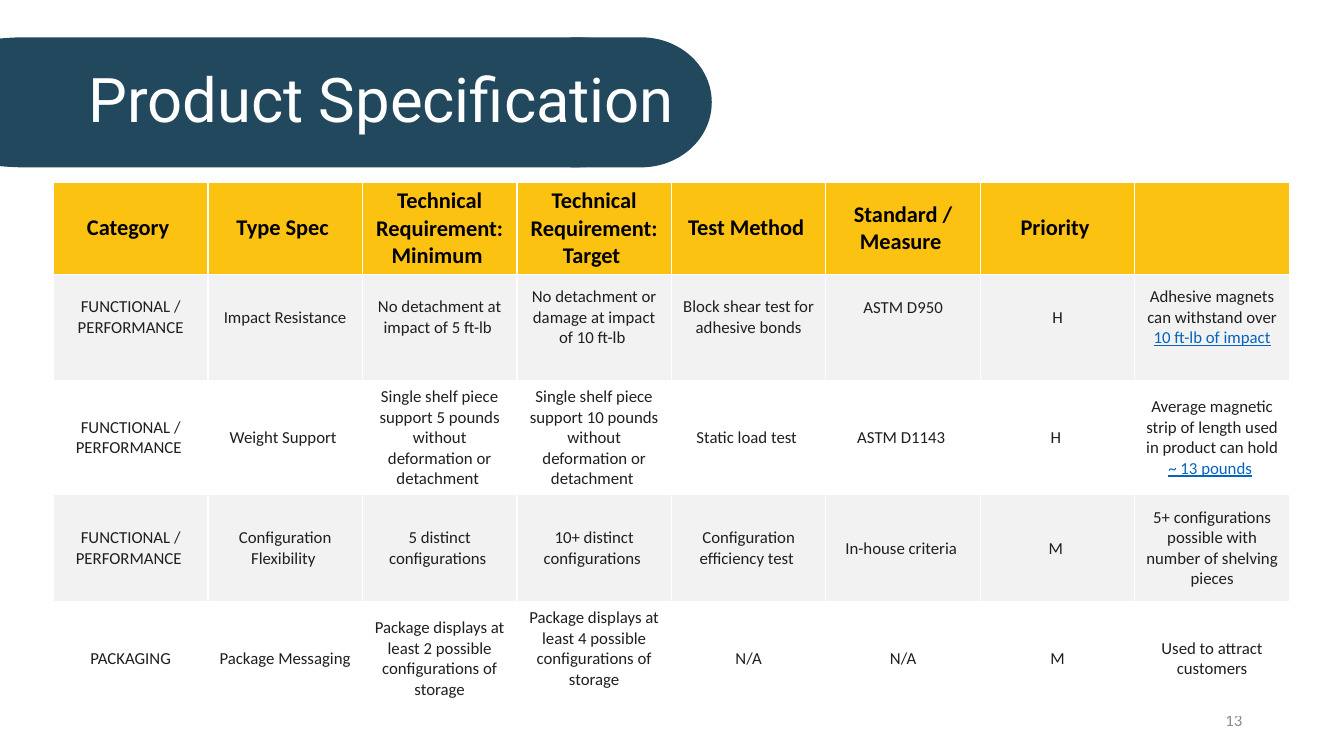
import pptx
import pptx.util
import pptx.dml.color
import pptx.enum.shapes
import pptx.enum.text

Inches = pptx.util.Inches
Pt = pptx.util.Pt
SHAPES = pptx.enum.shapes.MSO_SHAPE
ALIGN = pptx.enum.text.PP_ALIGN
MIDDLE = pptx.enum.text.MSO_ANCHOR.MIDDLE


def color(value):
    return pptx.dml.color.RGBColor.from_string(value)


def style(span, size, value, name="Calibri"):
    span.font.size = Pt(size)
    span.font.name = name
    span.font.color.rgb = color(value)


deck = pptx.Presentation()
deck.slide_width = Inches(13.33)
deck.slide_height = Inches(7.5)
page = deck.slides.add_slide(deck.slide_layouts[6])

# Title banner
for kind, left, width in [
    (SHAPES.FLOWCHART_TERMINATOR, -1.04, 8.01),
    (SHAPES.FLOWCHART_DELAY, 5.66, 1.4),
]:
    banner = page.shapes.add_shape(
        kind, Inches(left), Inches(0.37), Inches(width), Inches(1.29))
    banner.shadow.inherit = False
    banner.fill.solid()
    banner.fill.fore_color.rgb = color("21485D")
    banner.line.fill.background()

# Title and page number
for text, left, top, width, height, size, value, name, align in [
    ("Product Specification", 0.78, 0.29, 11.5, 1.45, 44, "FFFFFF", "Roboto", ALIGN.LEFT),
    ("13", 9.42, 6.95, 3, 0.4, 12, "8C8C8C", "Calibri", ALIGN.RIGHT),
]:
    box = page.shapes.add_textbox(
        Inches(left), Inches(top), Inches(width), Inches(height))
    box.text_frame.word_wrap = True
    box.text_frame.vertical_anchor = MIDDLE
    box.text_frame.text = text
    para = box.text_frame.paragraphs[0]
    para.alignment = align
    para.line_spacing = 0.9
    style(para.runs[0], size, value, name)

# Specification table; "|" encloses the underlined part of a cell
rows = [
    ["Category ", "Type Spec ", "Technical Requirement: Minimum ",
     "Technical Requirement: Target ", "Test Method ", "Standard / Measure ",
     "Priority ", ""],
    ["FUNCTIONAL / PERFORMANCE", "Impact Resistance",
     "No detachment at impact of 5 ft-lb ",
     "No detachment or damage at impact of 10 ft-lb ",
     "Block shear test for adhesive bonds", "ASTM D950", "H",
     "Adhesive magnets can withstand over |10 ft-lb of impact|"],
    ["FUNCTIONAL / PERFORMANCE ", "Weight Support ",
     "Single shelf piece support 5 pounds without deformation or detachment ",
     "Single shelf piece support 10 pounds without deformation or detachment ",
     "Static load test ", "ASTM D1143 ", "H ",
     "Average magnetic strip of length used in product can hold |~ 13 pounds| "],
    ["FUNCTIONAL / PERFORMANCE ", "Configuration Flexibility ",
     "5 distinct configurations ", "10+ distinct configurations ",
     "Configuration efficiency test ", "In-house criteria ", "M ",
     "5+ configurations possible with number of shelving pieces"],
    ["PACKAGING", "Package Messaging",
     "Package displays at least 2 possible configurations of storage",
     "Package displays at least 4 possible configurations of storage",
     "N/A", "N/A", "M", "Used to attract customers"],
]
row_heights = [0.91, 1.06, 1.13, 1.06, 1.13]
row_fills = ["FCC212", "F2F2F2", "FFFFFF", "F2F2F2", "FFFFFF"]
# Extra bottom margin lifts the text of these cells
lifts = {(1, column): 0.2 for column in range(8)}
lifts.update({(1, 5): 0.4, (4, 3): 0.2})

table = page.shapes.add_table(
    len(rows), len(rows[0]), Inches(0.53), Inches(1.81),
    Inches(12.26), Inches(sum(row_heights))).table
for row, texts in enumerate(rows):
    table.rows[row].height = Inches(row_heights[row])
    for column, text in enumerate(texts):
        cell = table.cell(row, column)
        cell.fill.solid()
        cell.fill.fore_color.rgb = color(row_fills[row])
        cell.vertical_anchor = MIDDLE
        cell.margin_bottom = Inches(0.05 + lifts.get((row, column), 0))
        para = cell.text_frame.paragraphs[0]
        para.alignment = ALIGN.CENTER
        for part, words in enumerate(text.split("|")):
            if not words:
                continue
            span = para.add_run()
            span.text = words
            linked = part == 1
            if row == 0:
                style(span, 16, "000000")
            else:
                style(span, 12, "0563C1" if linked else "1F1F1F")
            span.font.bold = row == 0
            span.font.underline = linked

deck.save("out.pptx")
